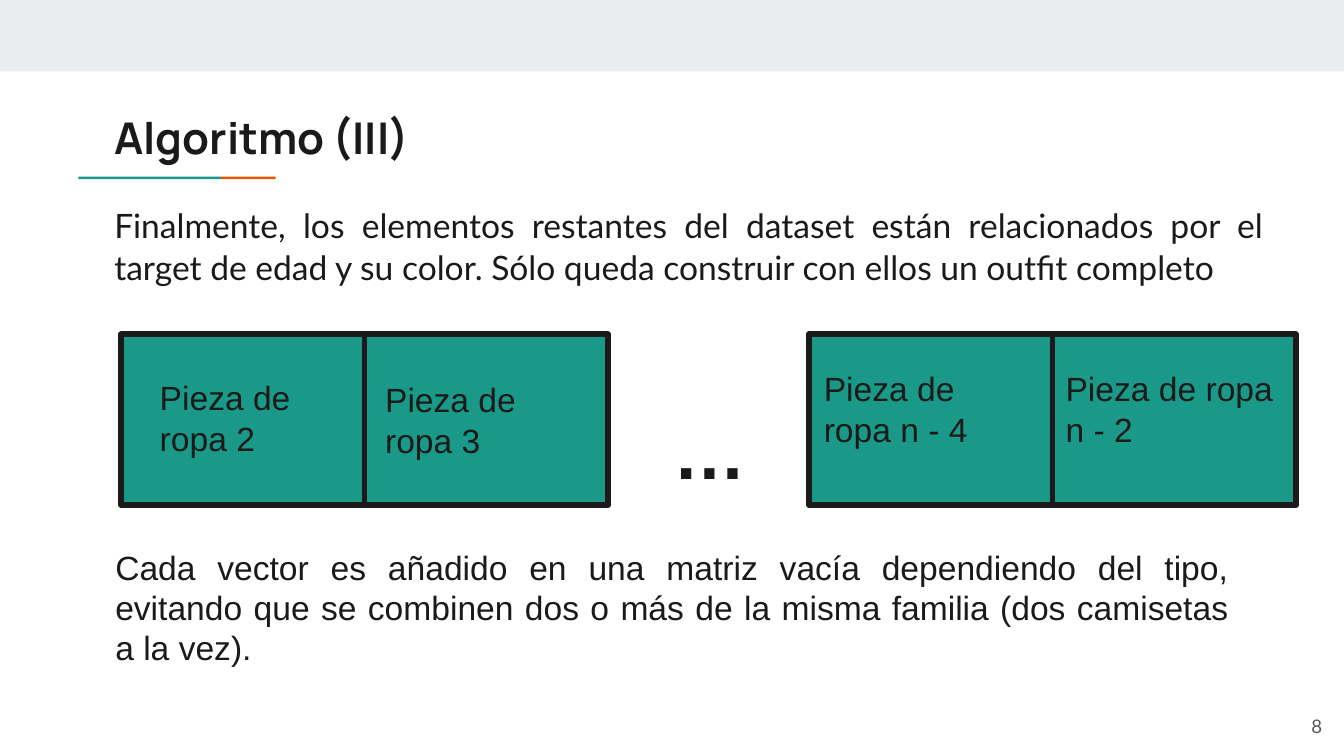
from lxml import etree
from pptx import Presentation
from pptx.dml.color import RGBColor
from pptx.enum import shapes, text
from pptx.oxml.ns import qn
from pptx.util import Cm, Pt

COLORS = {"band": "E9EDEE", "teal": "1A9988", "orange": "EB5600",
          "ink": "1A1A1A", "gray": "595959"}


def rgb(name):
    return RGBColor.from_string(COLORS[name])


def write(sp, txt, at, font="Arial", size=18, color="ink", bold=False,
          align=text.PP_ALIGN.LEFT, anchor=text.MSO_ANCHOR.TOP, spacing=1.0):
    """Place a text shape (left, top, width, height in cm) and format its text."""
    sp.left, sp.top, sp.width, sp.height = [Cm(v) for v in at]
    tf = sp.text_frame
    tf.word_wrap = True
    tf.auto_size = text.MSO_AUTO_SIZE.NONE
    tf.vertical_anchor = anchor
    tf.margin_left = tf.margin_right = tf.margin_top = tf.margin_bottom = Cm(0.25)
    p = tf.paragraphs[0]
    p.alignment = align
    p.line_spacing = spacing
    p.space_before = Pt(0)
    r = p.add_run()
    r.text = txt
    r.font.name = font
    r.font.size = Pt(size)
    r.font.bold = bold
    r.font.color.rgb = rgb(color)
    return p


prs = Presentation()
prs.slide_width, prs.slide_height = Cm(25.4), Cm(14.29)
s = prs.slides.add_slide(prs.slide_layouts[1])

# Top band and two-colour title underline
for color, *at in [("band", 0, 0, 25.4, 1.35),
                   ("teal", 1.48, 3.34, 2.7, 0.05),
                   ("orange", 4.18, 3.34, 1.03, 0.05)]:
    sp = s.shapes.add_shape(shapes.MSO_SHAPE.RECTANGLE, *[Cm(v) for v in at])
    sp.shadow.inherit = False
    sp.fill.solid()
    sp.fill.fore_color.rgb = rgb(color)
    sp.line.fill.background()

# Title and body
write(s.shapes.title, "Algoritmo (III)", (1.91, 1.85, 21.36, 1.5),
      font="Manrope", size=23.4, bold=True)
p = write(s.placeholders[1],
          "Finalmente, los elementos restantes del dataset están relacionados por el "
          "target de edad y su color. Sólo queda construir con ellos un outfit completo",
          (1.91, 3.58, 22.22, 2.74), font="Lato",
          align=text.PP_ALIGN.JUSTIFY, spacing=1.05)
pPr = p._p.get_or_add_pPr()
pPr.set("marL", "0")
pPr.set("indent", "0")
etree.SubElement(pPr, qn("a:buNone"))

# Two pairs of adjoining vector cells
CELL_W, CELL_H, CELL_TOP = 4.6, 3.23, 6.32
for pair_left in (2.29, 15.29):
    for col in range(2):
        sp = s.shapes.add_shape(shapes.MSO_SHAPE.RECTANGLE,
                                Cm(pair_left + col * CELL_W), Cm(CELL_TOP),
                                Cm(CELL_W), Cm(CELL_H))
        sp.shadow.inherit = False
        sp.fill.solid()
        sp.fill.fore_color.rgb = rgb("teal")
        sp.line.color.rgb = rgb("ink")
        sp.line.width = Pt(3)
        etree.SubElement(sp.line._get_or_add_ln(), qn("a:round"))

# Cell labels, ellipsis, closing paragraph and page number
for txt, at, style in [
    ("…", (12.47, 7.44, 2.62, 2.11), {"size": 39, "bold": True}),
    ("Pieza de ropa 2", (2.77, 6.88, 3.63, 2.11), {}),
    ("Pieza de ropa 3", (7.03, 6.92, 4.34, 2.06), {}),
    ("Pieza de ropa n - 4", (15.32, 6.71, 4.34, 2.06), {}),
    ("Pieza de ropa n - 2", (19.89, 6.71, 4.6, 2.06), {}),
    ("Cada vector es añadido en una matriz vacía dependiendo del tipo, evitando "
     "que se combinen dos o más de la misma familia (dos camisetas a la vez).",
     (1.93, 10.08, 21.54, 2.74), {"align": text.PP_ALIGN.JUSTIFY}),
    ("8", (23.72, 13.18, 1.52, 1.09),
     {"font": "Lato", "size": 10, "color": "gray",
      "align": text.PP_ALIGN.RIGHT, "anchor": text.MSO_ANCHOR.MIDDLE}),
]:
    write(s.shapes.add_textbox(0, 0, 0, 0), txt, at, **style)

prs.save("out.pptx")
